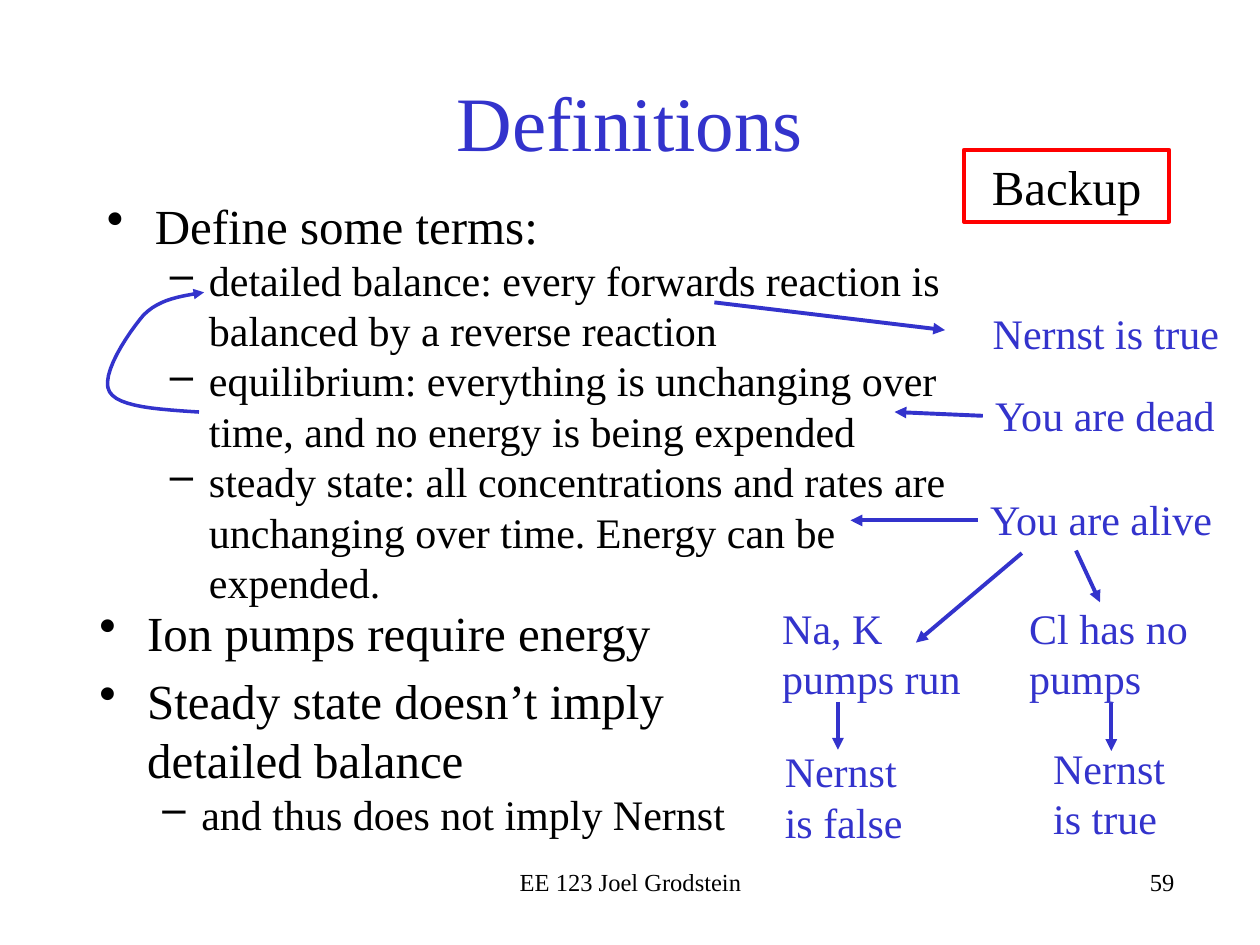
import pptx
import pptx.util
import pptx.dml.color
import pptx.enum.shapes
import pptx.enum.text
import pptx.oxml.ns
from lxml import etree

Inches, Pt = pptx.util.Inches, pptx.util.Pt
RGBColor = pptx.dml.color.RGBColor
ALIGN = pptx.enum.text.PP_ALIGN
ANCHOR = pptx.enum.text.MSO_ANCHOR
qn = pptx.oxml.ns.qn

BLUE = RGBColor(0x33, 0x33, 0xCC)
BLACK = RGBColor(0, 0, 0)
RED = RGBColor(0xFF, 0, 0)
FONT = "Times New Roman"

# level: size, space before, left margin, hanging indent, bullet
LEVELS = [(28, 5.6, 0.38, -0.38, "\u2022"), (24, 0, 0.81, -0.31, "\u2013")]


def write(sp, lines, size, color, align=ALIGN.LEFT):
    """Fill a shape with (text, level) lines; level None means no bullet."""
    tf = sp.text_frame
    tf.word_wrap = True
    for i, (text, level) in enumerate(lines):
        p = tf.paragraphs[0] if i == 0 else tf.add_paragraph()
        p.alignment = align
        r = p.add_run()
        r.text = text
        font_size = size
        if level is not None:
            font_size, before, margin, indent, bullet = LEVELS[level]
            p.level = level
            p.space_before = Pt(before)
            pPr = p._p.get_or_add_pPr()
            pPr.set("marL", str(Inches(margin)))
            pPr.set("indent", str(Inches(indent)))
            etree.SubElement(pPr, qn("a:buChar")).set("char", bullet)
        for name, value in {"name": FONT, "size": Pt(font_size)}.items():
            setattr(r.font, name, value)
        r.font.color.rgb = color


def style_arrow(sp, width):
    """Give a line or curve the blue stroke and an end arrowhead."""
    sp.line.color.rgb = BLUE
    sp.line.width = Pt(width)
    etree.SubElement(sp.line._get_or_add_ln(), qn("a:tailEnd")).set("type", "triangle")


prs = pptx.Presentation()
prs.slide_width, prs.slide_height = Inches(10), Inches(7.5)
s = prs.slides.add_slide(prs.slide_layouts[5])

title = s.shapes.title
box = {"left": 0.75, "top": 0.33, "width": 8.5, "height": 1.25}
for name, value in box.items():
    setattr(title, name, Inches(value))
title.text_frame.vertical_anchor = ANCHOR.MIDDLE
write(title, [("Definitions", None)], 44, BLUE, ALIGN.CENTER)

# Bulleted text
definitions = [
    ("Define some terms:", 0),
    ("detailed balance: every forwards reaction is balanced by a reverse reaction", 1),
    ("equilibrium: everything is unchanging over time, and no energy is being expended", 1),
    ("steady state: all concentrations and rates are unchanging over time. "
     "Energy can be expended.", 1),
]
consequences = [
    ("Ion pumps require energy", 0),
    ("Steady state doesn\u2019t imply detailed balance", 0),
    ("and thus does not imply Nernst", 1),
]
for lines, at in [(definitions, (0.75, 1.5, 7.38, 3.38)),
                  (consequences, (0.69, 4.73, 5.67, 1.74))]:
    write(s.shapes.add_textbox(*map(Inches, at)), lines, 28, BLACK)

# Blue remarks, then footer and slide number
remarks = [
    ("Nernst is true", 7.78, 2.39, 2.22, 0.5),
    ("You are dead", 7.8, 3.04, 2.03, 0.5),
    ("You are alive", 7.76, 3.87, 2.03, 0.5),
    ("Na, K pumps run", 6.11, 4.73, 1.84, 0.91),
    ("Cl has no pumps", 8.07, 4.73, 1.65, 0.91),
    ("Nernst is false", 6.13, 5.87, 1.39, 0.91),
    ("Nernst is true", 8.26, 5.84, 1.31, 0.91),
]
for text, *at in remarks:
    write(s.shapes.add_textbox(*map(Inches, at)), [(text, None)], 24, BLUE)

footers = [
    ("EE 123 Joel Grodstein", ALIGN.CENTER, 3.42, 6.83, 3.17, 0.34),
    ("59", ALIGN.RIGHT, 6.25, 6.83, 3.17, 0.5),
]
for text, align, *at in footers:
    write(s.shapes.add_textbox(*map(Inches, at)), [(text, None)], 14, BLACK, align)

# Straight arrows: from x, y to x, y
arrows = [
    (5.67, 2.4, 7.5, 2.62),
    (7.8, 3.3, 7.1, 3.27),
    (7.76, 4.13, 6.75, 4.13),
    (8.11, 4.39, 7.27, 5.1),
    (8.54, 4.37, 8.73, 4.78),
    (6.65, 5.57, 6.65, 5.95),
    (8.82, 5.58, 8.82, 5.96),
]
for ends in arrows:
    arrow = s.shapes.add_connector(pptx.enum.shapes.MSO_CONNECTOR.STRAIGHT,
                                   *map(Inches, ends))
    style_arrow(arrow, 2.25)
    etree.SubElement(arrow._element.spPr, qn("a:effectLst"))

# Curved arrow from equilibrium to detailed balance: sampled Bezier segments
STEPS = 12
knots = [(1.58, 3.27), (1.26, 3.25), (0.94, 3.23), (0.87, 3.11), (0.79, 2.98),
         (1.02, 2.64), (1.14, 2.5), (1.27, 2.37), (1.44, 2.35), (1.62, 2.32)]
points = []
for k in range(0, len(knots) - 1, 3):
    for step in range(1, STEPS + 1):
        t = step / STEPS
        weights = [(1 - t) ** 3, 3 * t * (1 - t) ** 2, 3 * t * t * (1 - t), t ** 3]
        points.append([Inches(sum(w * knot[axis] for w, knot in zip(weights, knots[k:k + 4])))
                       for axis in (0, 1)])
builder = s.shapes.build_freeform(*map(Inches, knots[0]))
builder.add_line_segments(points, close=False)
curve = builder.convert_to_shape()
curve.fill.background()
curve.shadow.inherit = False
style_arrow(curve, 2)

# Backup label
label = s.shapes.add_shape(pptx.enum.shapes.MSO_SHAPE.RECTANGLE,
                           *map(Inches, (7.65, 1.19, 1.63, 0.57)))
label.shadow.inherit = False
label.fill.background()
label.line.color.rgb = RED
label.line.width = Pt(2.25)
write(label, [("Backup", None)], 28, BLACK, ALIGN.CENTER)

prs.save("out.pptx")
